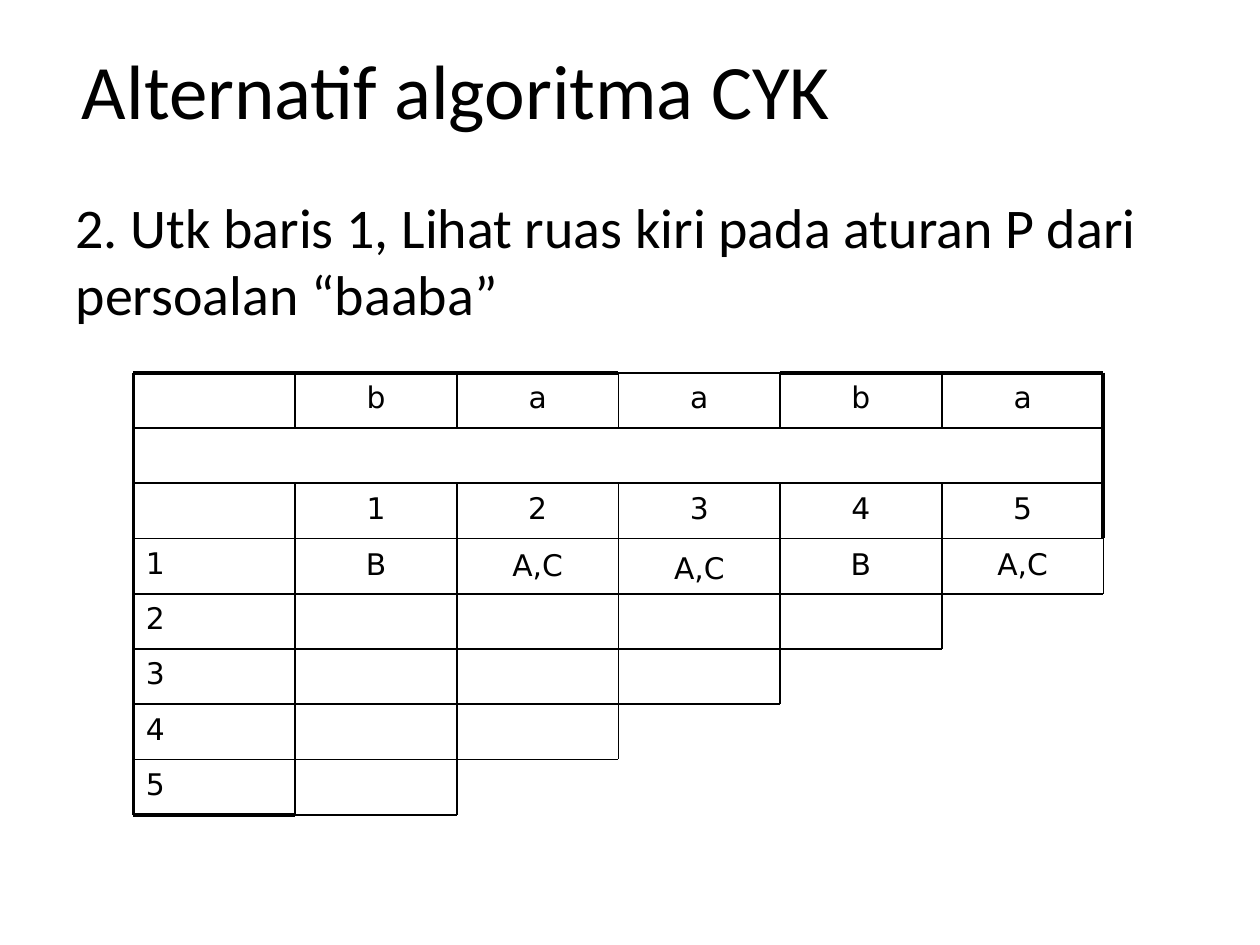
import pptx
import pptx.util
import pptx.dml.color
import pptx.enum.shapes
import pptx.enum.text
import pptx.oxml.ns
import lxml.etree

Pt = pptx.util.Pt
ALIGN = pptx.enum.text.PP_ALIGN
ANCHOR = pptx.enum.text.MSO_ANCHOR

# Content
TITLE = "Alternatif algoritma CYK"
BODY = "2. Utk baris 1, Lihat ruas kiri pada aturan P dari persoalan “baaba”"
LETTERS = ["b", "a", "a", "b", "a"]
NUMBERS = ["1", "2", "3", "4", "5"]
ENTRIES = [("B", 0.7), ("A,C", 1.4), ("A,C", 2.9), ("B", 0.7), ("A,C", 0.7)]  # text, drop

COLORS = {"ink": "000000"}
INK = pptx.dml.color.RGBColor.from_string(COLORS["ink"])
LEFT, TOP = 76.3, 213
COLUMN, ROW = 92.37, 31.57
COLUMNS, ROWS = 6, 8
THIN, THICK = 1, 2.25

# Rules in grid units: column and row of each end, then width
rules = [
    (0, 0, 3, 0, THICK), (3, 0, 4, 0, THIN), (4, 0, 6, 0, THICK),
    (0, 1, 6, 1, THIN), (0, 2, 6, 2, THIN),
    (0, 8, 1, 8, THICK), (1, 8, 2, 8, THIN),
    (0, 0, 0, 1, THICK), (0, 1, 0, 2, THICK), (0, 2, 0, 8, THICK),
    (6, 0, 6, 1, THICK), (6, 1, 6, 2, THICK), (6, 2, 6, 3, THICK), (6, 3, 6, 4, THIN),
]
for row in range(3, ROWS):
    split = ROWS - row
    rules += [(0, row, split, row, THIN),
              (split, row, min(split + 2, COLUMNS), row, THIN)]
for column in range(1, COLUMNS):
    split = ROWS - column
    rules += [(column, 0, column, 1, THIN), (column, 2, column, split, THIN),
              (column, split, column, min(split + 2, ROWS), THIN)]


def grid_point(column, row):
    return Pt(round(LEFT + column * COLUMN, 2)), Pt(round(TOP + row * ROW, 2))


def style_text(para, font_name, size, align):
    para.alignment = align
    para.space_before = Pt(0)
    for span in para.runs:
        span.font.name = font_name
        span.font.size = Pt(size)
        span.font.color.rgb = INK


def fill_placeholder(box, text, size, bounds, anchor):
    box.left, box.top, box.width, box.height = [Pt(value) for value in bounds]
    box.text_frame.text = text
    box.text_frame.vertical_anchor = anchor
    para = box.text_frame.paragraphs[0]
    style_text(para, "Calibri", size, ALIGN.LEFT)
    return para


def add_label(group, text, column, row, align, drop=0):
    left, top = grid_point(column, row)
    box = group.shapes.add_textbox(left, top + Pt(drop), Pt(COLUMN), Pt(ROW))
    frame = box.text_frame
    frame.word_wrap = True
    frame.text = text
    style_text(frame.paragraphs[0], "DejaVu Sans", 17, align)


def add_rule(group, start_column, start_row, end_column, end_row, width):
    line = group.shapes.add_connector(
        pptx.enum.shapes.MSO_CONNECTOR.STRAIGHT,
        *grid_point(start_column, start_row), *grid_point(end_column, end_row))
    line.line.color.rgb = INK
    line.line.width = Pt(width)
    lxml.etree.SubElement(line._element.spPr, pptx.oxml.ns.qn("a:effectLst"))


deck = pptx.Presentation()
deck.slide_width, deck.slide_height = Pt(720), Pt(540)
page = deck.slides.add_slide(deck.slide_layouts[1])

# Title and body
fill_placeholder(page.shapes.title, TITLE, 44, (39.6, 5.8, 648, 90), ANCHOR.MIDDLE)
body_para = fill_placeholder(page.placeholders[1], BODY, 32, (36, 106.5, 648, 376), ANCHOR.TOP)
properties = body_para._p.get_or_add_pPr()
properties.set("marL", "0")
properties.set("indent", "0")
lxml.etree.SubElement(properties, pptx.oxml.ns.qn("a:buNone"))

# Triangular table: labels, rules, entries of row 1
triangle = page.shapes.add_group_shape()
for index, number in enumerate(NUMBERS):
    add_label(triangle, number, 0, index + 3, ALIGN.LEFT)
    add_label(triangle, number, index + 1, 2, ALIGN.CENTER)
    add_label(triangle, LETTERS[index], index + 1, 0, ALIGN.CENTER)
for rule in rules:
    add_rule(triangle, *rule)
for column, (entry, drop) in enumerate(ENTRIES, start=1):
    add_label(triangle, entry, column, 3, ALIGN.CENTER, drop)

deck.save("out.pptx")
